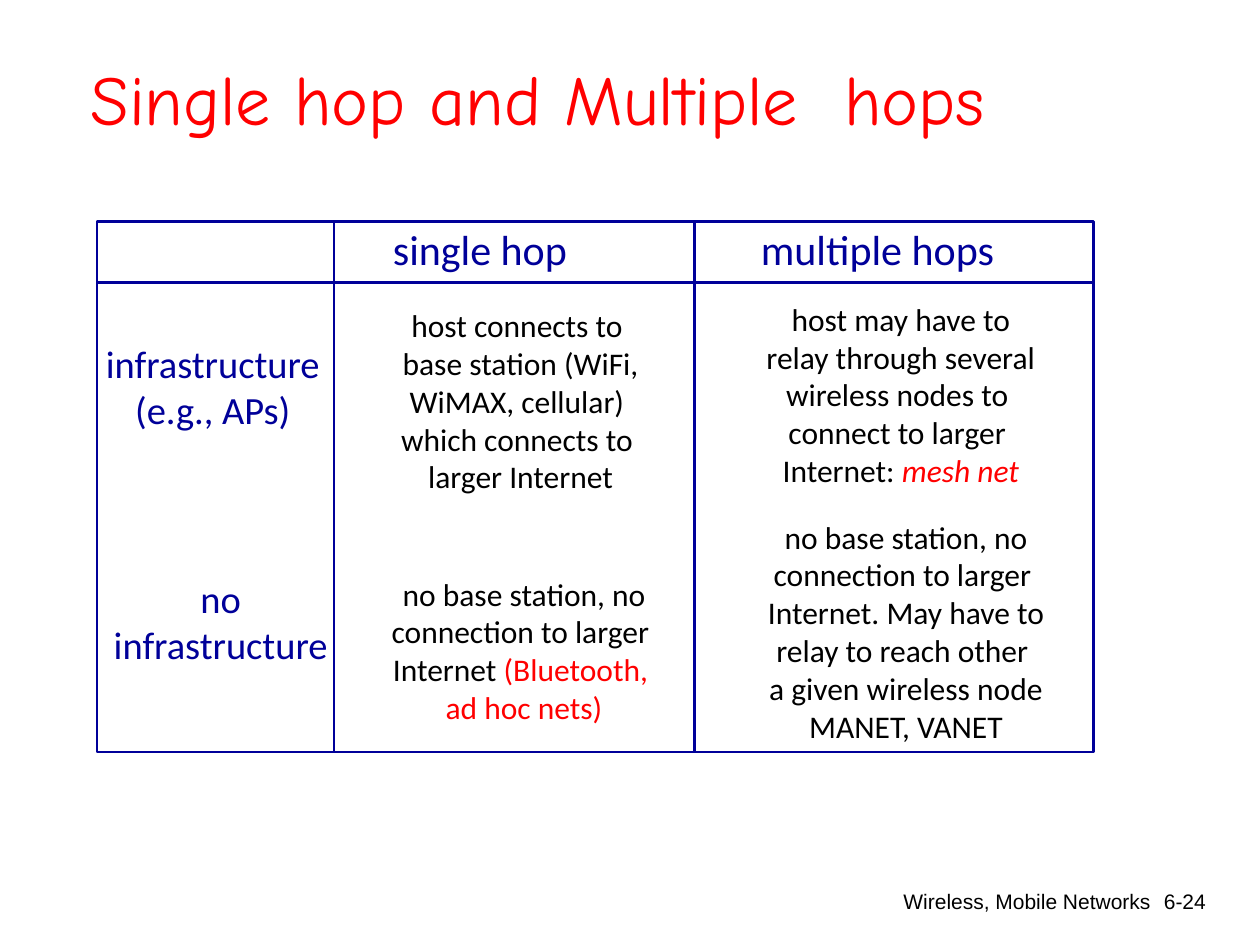
from lxml import etree
from pptx import Presentation, util as u
from pptx.dml.color import RGBColor
from pptx.enum import shapes, text
from pptx.oxml.ns import qn

COLORS = {"navy": "000099", "red": "FF0000", "black": "000000"}
STYLES = {
    "title": {"size": 40, "name": "Comic Neue", "color": "red"},
    "column": {"size": 24, "name": "Calibri", "color": "navy"},
    "row": {"size": 22, "name": "Calibri", "color": "navy"},
    "cell": {"size": 18, "name": "Calibri", "color": "black"},
    "footer": {"size": 12, "name": "Arial", "color": "black"},
}
LEFT, CENTER, RIGHT = (text.PP_ALIGN.LEFT, text.PP_ALIGN.CENTER,
                       text.PP_ALIGN.RIGHT)


def color(name):
    return RGBColor.from_string(COLORS[name])


class Page:
    def __init__(self, deck):
        self.slide = deck.slides.add_slide(deck.slide_layouts[5])
        self.line_width = u.Pt(1.5)

    def format_span(self, span, values):
        for key, value in values.items():
            if key == "color":
                span.font.color.rgb = color(value)
            else:
                setattr(span.font, key, u.Pt(value) if key == "size" else value)

    def fill_text(self, box, lines, style, align, wrap, grow=True):
        """Each line is a string or a list of (string, extra format) pairs."""
        frame = box.text_frame
        fit = text.MSO_AUTO_SIZE.SHAPE_TO_FIT_TEXT if grow else text.MSO_AUTO_SIZE.NONE
        settings = {"word_wrap": wrap, "auto_size": fit,
                    "vertical_anchor": text.MSO_ANCHOR.TOP}
        for key, value in settings.items():
            setattr(frame, key, value)
        for index, line in enumerate(lines):
            para = frame.add_paragraph() if index else frame.paragraphs[0]
            para.alignment = align
            for words, extra in [(line, {})] if isinstance(line, str) else line:
                span = para.add_run()
                span.text = words
                self.format_span(span, {**STYLES[style], **extra})

    def title(self, place, words):
        box = self.slide.shapes.title
        for key, value in zip(("left", "top", "width", "height"), place):
            setattr(box, key, u.Cm(value))
        self.fill_text(box, [words], "title", CENTER, wrap=True)

    def label(self, place, lines, style, align=CENTER, wrap=False, grow=True):
        box = self.slide.shapes.add_textbox(*map(u.Cm, place))
        self.fill_text(box, lines, style, align, wrap, grow)

    def outline(self, shape):
        shape.line.color.rgb = color("navy")
        shape.line.width = self.line_width

    def frame(self, left, top, right, bottom):
        box = self.slide.shapes.add_shape(
            shapes.MSO_SHAPE.RECTANGLE,
            *map(u.Cm, (left, top, right - left, bottom - top)))
        box.shadow.inherit = False
        box.fill.background()
        self.outline(box)

    def rule(self, *ends):
        line = self.slide.shapes.add_connector(
            shapes.MSO_CONNECTOR.STRAIGHT, *map(u.Cm, ends))
        self.outline(line)
        etree.SubElement(line._element.spPr, qn("a:effectLst"))


def main():
    deck = Presentation()
    deck.slide_width, deck.slide_height = u.Cm(25.4), u.Cm(19.05)
    page = Page(deck)
    red = {"color": "red"}

    page.title((0.58, 0.99, 20.98, 1.96), "Single hop and Multiple  hops ")

    left, top, right, bottom = 1.96, 4.47, 22.05, 15.16
    header_bottom = 5.69
    page.frame(left, top, right, bottom)
    page.rule(left, header_bottom, right, header_bottom)
    for x in (6.73, 14):
        page.rule(x, top, x, bottom)

    page.label((7.67, 4.39, 4.65, 1.27), ["single hop"], "column", LEFT)
    page.label((15.09, 4.39, 5.97, 1.27), ["multiple hops"], "column", LEFT)
    page.label((1.52, 6.73, 5.54, 2.13), ["infrastructure", "(e.g., APs)"], "row")
    page.label((1.68, 11.46, 5.54, 2.13), ["no", "infrastructure"], "row")

    cells = [
        ((7.47, 6.05, 6.05, 4.06),
         ["host connects to ", "base station (WiFi,", "WiMAX, cellular) ",
          "which connects to ", "larger Internet"]),
        ((7.21, 11.46, 6.71, 3.3),
         ["no base station, no", "connection to larger ",
          [("Internet ", {}), ("(Bluetooth, ", red)], [("ad hoc nets)", red)]]),
        ((14.73, 5.92, 6.86, 4.06),
         ["host may have to", "relay through several", "wireless nodes to ",
          "connect to larger ",
          [("Internet: ", {}), ("mesh net", {**red, "italic": True})]]),
        ((14.81, 10.31, 6.91, 4.83),
         ["no base station, no", "connection to larger ",
          "Internet. May have to", "relay to reach other ",
          "a given wireless node", "MANET, VANET"]),
    ]
    for place, lines in cells:
        page.label(place, lines, "cell")

    footers = [((12.73, 17.78, 10.72, 0.89), "Wireless, Mobile Networks"),
               ((22.68, 17.78, 1.88, 1.27), "6-24")]
    for place, words in footers:
        page.label(place, [words], "footer", RIGHT, wrap=True, grow=False)

    deck.save("out.pptx")


if __name__ == "__main__":
    main()
